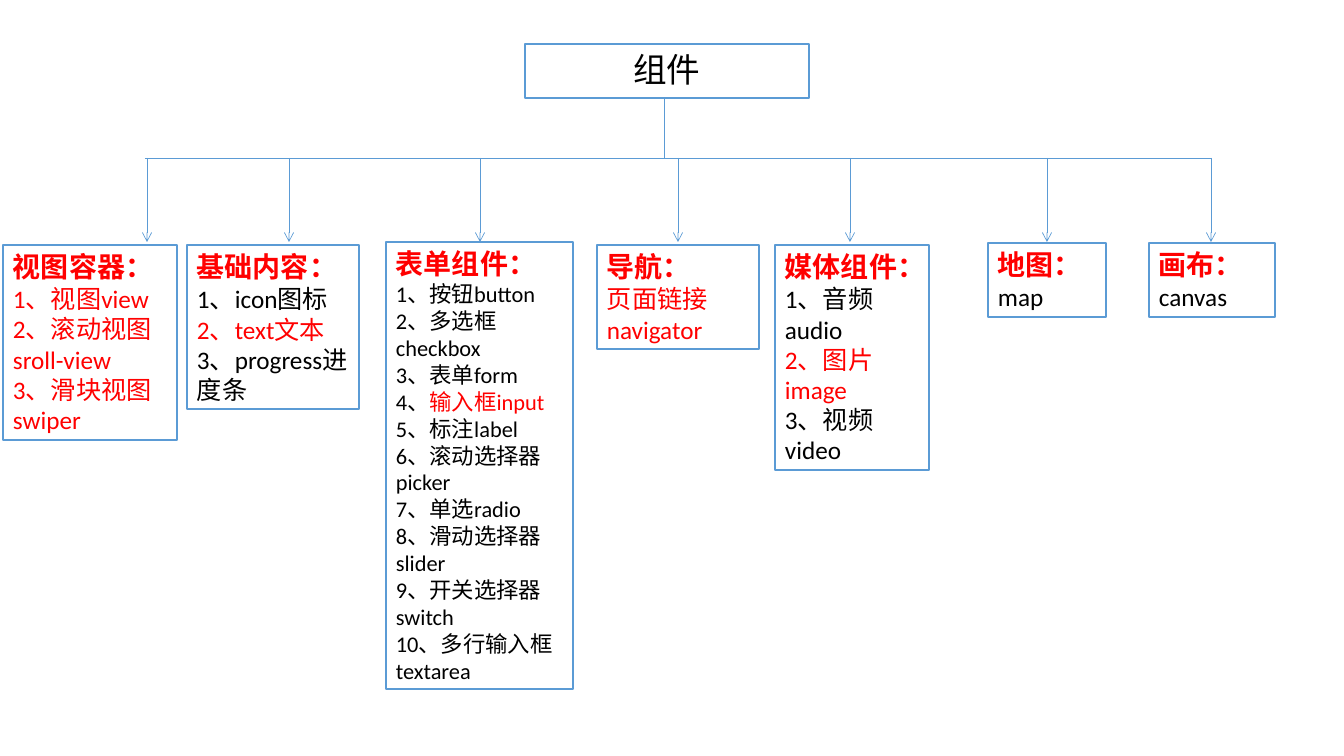
"""Draw the tree of component groups on one slide."""
from dataclasses import dataclass
from typing import Any

from pptx import Presentation
from pptx.dml.color import RGBColor as RGB
from pptx.enum.shapes import MSO_CONNECTOR as Link
from pptx.enum.text import MSO_ANCHOR as Anchor, MSO_AUTO_SIZE as Fit, PP_ALIGN as Align
from pptx.oxml.ns import qn
from pptx.util import Emu, Pt
from lxml.etree import SubElement as Sub

SCALE = 914400 / 100.8
HUES = {"edge": "5B9BD5", "fill": "FFFFFF", "red": "FF0000", "ink": "000000"}
FRAME = {"word_wrap": True, "vertical_anchor": Anchor.TOP}
HEAD = {"name": "Calibri", "size": Pt(20), "bold": True}
ITEM = {"name": "Calibri", "bold": False}
TITLE = {"name": "Noto Sans CJK SC", "size": Pt(24), "bold": False}
RAIL = 158
TIP = 242
MARK = "*"


@dataclass
class Group:
    """A box of components; text after the mark is red."""
    left: int
    top: int
    wide: int
    high: int
    stem: int
    head: str
    items: list[str]
    size: int = 18


GROUPS = [
    Group(3, 245, 174, 195, 147, "视图容器：",
          ["*1、视图view", "*2、滚动视图sroll-view", "*3、滑块视图swiper"]),
    Group(187, 245, 172, 164, 289, "基础内容：",
          ["1、icon图标", "*2、text文本", "3、progress进度条"]),
    Group(386, 242, 187, 447, 480, "表单组件：",
          ["1、按钮button", "2、多选框checkbox", "3、表单form", "4、*输入框input",
           "5、标注label", "6、滚动选择器picker", "7、单选radio", "8、滑动选择器slider",
           "9、开关选择器switch", "10、多行输入框textarea"], 16),
    Group(597, 245, 162, 104, 678, "导航：", ["*页面链接navigator"]),
    Group(775, 245, 154, 225, 850, "媒体组件：",
          ["1、音频audio", "*2、图片image", "3、视频video"]),
    Group(988, 243, 118, 74, 1047, "地图：", ["map"]),
    Group(1149, 243, 126, 74, 1211, "画布：", ["canvas"]),
]


def px(num: float) -> Emu:
    """Turn pixels into EMU."""
    return Emu(round(num * SCALE))


def tint(name: str) -> RGB:
    """Look up a colour."""
    return RGB.from_string(HUES[name])


def apply(obj: Any, form: dict[str, Any]) -> None:
    """Set each format value on an object."""
    for key, val in form.items():
        setattr(obj, key, val)


def edge(line: Any, width: float) -> None:
    """Give a line its colour and width."""
    line.color.rgb = tint("edge")
    line.width = Pt(width)


def write(para: Any, text: str, hue: str, form: dict[str, Any]) -> None:
    """Add a run of text."""
    run = para.add_run()
    run.text = text
    apply(run.font, form)
    run.font.color.rgb = tint(hue)


def frame(box: Any, fit: Fit) -> Any:
    """Give a box its fill, outline and text settings."""
    box.fill.solid()
    box.fill.fore_color.rgb = tint("fill")
    edge(box.line, 1)
    apply(box.text_frame, FRAME | {"auto_size": fit})
    return box.text_frame


def join(slide: Any, ax: int, ay: int, bx: int, by: int, arrow: bool = False) -> None:
    """Draw a straight line, with an arrowhead if asked."""
    link = slide.shapes.add_connector(Link.STRAIGHT, px(ax), px(ay), px(bx), px(by))
    edge(link.line, 0.5)
    props = link._element.spPr
    if arrow:
        Sub(props.find(qn("a:ln")), qn("a:tailEnd"), type="arrow")
    Sub(props, qn("a:effectLst"))


def draw(slide: Any, group: Group) -> None:
    """Draw a group box with its heading and items."""
    box = slide.shapes.add_textbox(
        px(group.left), px(group.top), px(group.wide), px(group.high))
    text = frame(box, Fit.SHAPE_TO_FIT_TEXT)
    write(text.paragraphs[0], group.head, "red", HEAD)
    form = ITEM | {"size": Pt(group.size)}
    for item in group.items:
        para = text.add_paragraph()
        plain, _, hot = item.partition(MARK)
        for part, hue in ((plain, "ink"), (hot, "red")):
            if part:
                write(para, part, hue, form)


def main() -> None:
    """Build and save the slide."""
    deck = Presentation()
    apply(deck, {"slide_width": px(1344), "slide_height": px(756)})
    slide = deck.slides.add_slide(deck.slide_layouts[5])
    root = slide.shapes.title
    apply(root, {"left": px(525), "top": px(44), "width": px(284), "height": px(54)})
    para = frame(root, Fit.NONE).paragraphs[0]
    para.alignment = Align.CENTER
    write(para, "组件", "ink", TITLE)
    join(slide, 664, 98, 664, RAIL)
    join(slide, 145, RAIL, 1211, RAIL)
    for group in GROUPS:
        join(slide, group.stem, RAIL, group.stem, TIP, arrow=True)
    for group in GROUPS:
        draw(slide, group)
    deck.save("out.pptx")


main()
